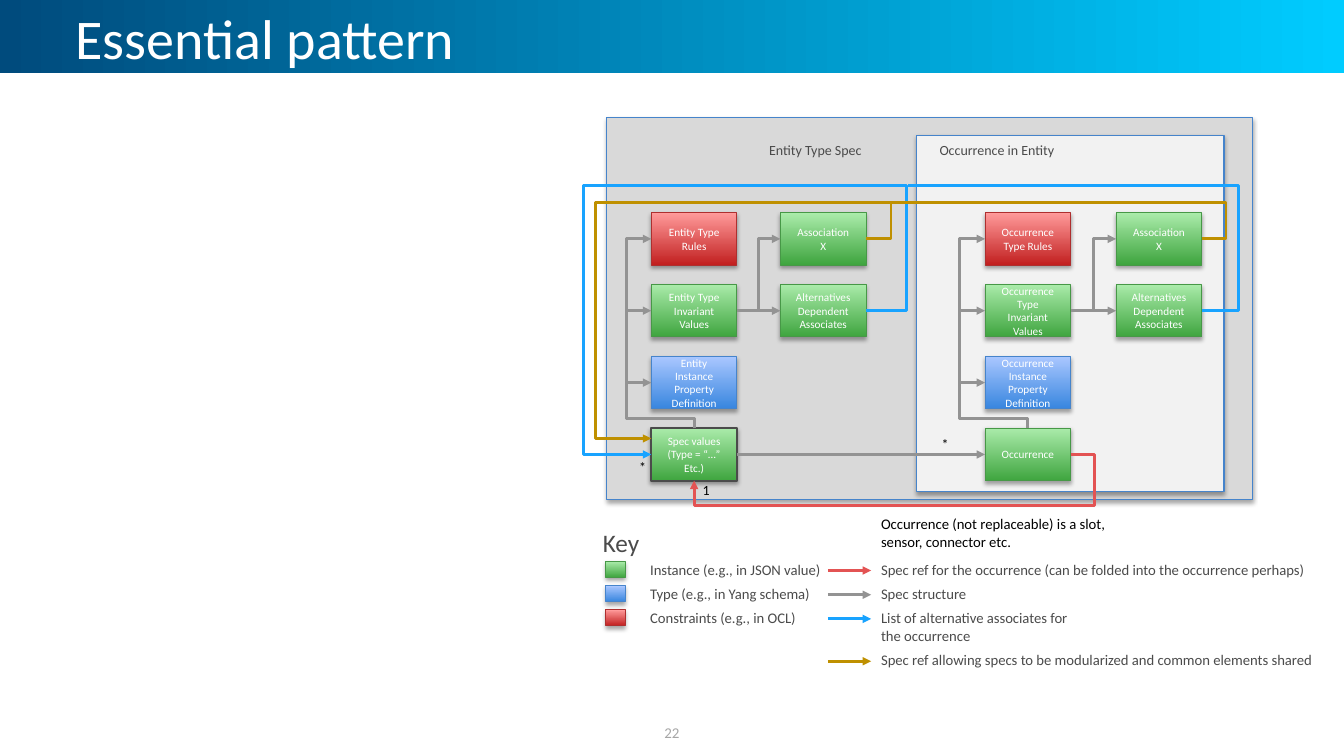
from lxml.etree import SubElement
from pptx import Presentation
from pptx.dml.color import RGBColor
from pptx.enum.shapes import MSO_CONNECTOR, MSO_SHAPE
from pptx.enum.text import MSO_ANCHOR, PP_ALIGN
from pptx.oxml.ns import qn
from pptx.util import Inches, Pt

WIDTH, HEIGHT = 13.33, 7.5
FONT = "Calibri"
COLORS = {
    "white": "FFFFFF", "black": "000000", "text": "4B4B4B", "number": "A6A6A6",
    "band_start": "004B7D", "band_end": "00CCFF",
    "entity": "D9D9D9", "occurrence": "F2F2F2", "panel_line": "4684CB",
    "reference": "E35353", "structure": "939393",
    "alternatives": "18A3FF", "modular": "BF9000",
}
# Bottom colour, top colour and outline of each kind of box
KINDS = {
    "instance": ("3FA53F", "AAEBAA", "479847"),
    "type": ("3886DF", "AAC7FF", "4684CB"),
    "constraint": ("C22020", "FF9B9B", "AE2F2F"),
}

# Grid of the diagram and of the key
COLUMNS = [6.46, 7.74, 9.77, 11.07]
BOX_W, BOX_H = 0.85, 0.52
KEY_COLUMNS = {"swatch": 6.01, "kind": 6.35, "arrow": 8.21, "meaning": 8.64}


def row_top(row):
    return 2.11 + 0.713 * row


def row_middle(row):
    return row_top(row) + BOX_H / 2


def column_right(column):
    return COLUMNS[column] + BOX_W


def key_top(row):
    return 5.51 + 0.24 * row


def rgb(value):
    return RGBColor.from_string(value)


def write(shape, text, size, color, align=PP_ALIGN.LEFT, anchor=MSO_ANCHOR.TOP, wrap=True):
    frame = shape.text_frame
    frame.text = text
    frame.word_wrap = wrap
    frame.vertical_anchor = anchor
    for para in frame.paragraphs:
        para.alignment = align
        for span in para.runs:
            span.font.name = FONT
            span.font.size = Pt(size)
            span.font.color.rgb = rgb(COLORS[color])


def add_label(page, text, left, top, width, height, size=10.5, color="text", **layout):
    label = page.shapes.add_textbox(*map(Inches, (left, top, width, height)))
    write(label, text, size, color, **layout)
    return label


def add_rectangle(page, left, top, width, height):
    box = page.shapes.add_shape(MSO_SHAPE.RECTANGLE, *map(Inches, (left, top, width, height)))
    box.shadow.inherit = False
    return box


def fill_gradient(box, first, last, angle):
    box.fill.gradient()
    box.fill.gradient_angle = angle
    for stop, value in zip(box.fill.gradient_stops, (first, last)):
        stop.color.rgb = rgb(value)


def outline(shape, value, width):
    shape.line.color.rgb = rgb(value)
    shape.line.width = Pt(width)


def add_soft_shadow(box):
    effects = box._element.spPr.find(qn("a:effectLst"))
    shadow = SubElement(effects, qn("a:outerShdw"), blurRad=str(Pt(3.1)), dist=str(Pt(1.8)),
                        dir="5400000", algn="t", rotWithShape="0")
    shade = SubElement(shadow, qn("a:srgbClr"), val=COLORS["black"])
    SubElement(shade, qn("a:alpha"), val="35000")


def add_panel(page, fill, *place):
    panel = add_rectangle(page, *place)
    panel.fill.solid()
    panel.fill.fore_color.rgb = rgb(COLORS[fill])
    outline(panel, COLORS["panel_line"], 0.75)
    add_soft_shadow(panel)


def add_kind(page, kind, *place):
    box = add_rectangle(page, *place)
    bottom, top, edge = KINDS[kind]
    fill_gradient(box, bottom, top, 90)
    outline(box, edge, 0.75)
    add_soft_shadow(box)
    return box


def add_node(page, kind, column, row, text, wrap=True):
    node = add_kind(page, kind, COLUMNS[column], row_top(row), BOX_W, BOX_H)
    write(node, text, 8, "white", PP_ALIGN.CENTER, MSO_ANCHOR.MIDDLE, wrap)
    return node


def add_line(page, style, start, end, color, arrow=True):
    line = page.shapes.add_connector(style, *map(Inches, (*start, *end)))
    outline(line, COLORS[color], 2)
    if arrow:
        SubElement(line.line._get_or_add_ln(), qn("a:tailEnd"), type="triangle")
    SubElement(line._element.spPr, qn("a:effectLst"))
    return line


def add_arrow(page, start, end, color):
    return add_line(page, MSO_CONNECTOR.STRAIGHT, start, end, color)


def join(page, source, target):
    arrow = add_arrow(page, (0, 0), (1, 1), "structure")
    arrow.begin_connect(source, 3)
    arrow.end_connect(target, 1)


def add_route(page, points, color, arrow=True):
    """Elbow connector through points; one that starts upwards is turned by 270 degrees."""
    start, end = points[0], points[-1]
    upwards = points[1][0] == start[0]
    if upwards:
        middle_x, middle_y = (start[0] + end[0]) / 2, (start[1] + end[1]) / 2
        half_w, half_h = (start[1] - end[1]) / 2, (start[0] - end[0]) / 2
        line = add_line(page, MSO_CONNECTOR.ELBOW, (middle_x - half_w, middle_y + half_h),
                        (middle_x + half_w, middle_y - half_h), color, arrow)
        line._element.spPr.find(qn("a:xfrm")).set("rot", str(270 * 60000))
    else:
        line = add_line(page, MSO_CONNECTOR.ELBOW, start, end, color, arrow)
    geometry = line._element.spPr.find(qn("a:prstGeom"))
    geometry.set("prst", f"bentConnector{len(points) - 1}")
    guides = geometry.find(qn("a:avLst"))
    for index, point in enumerate(points[1:-2]):
        axis = (index + upwards) % 2
        share = (point[axis] - start[axis]) / (end[axis] - start[axis])
        SubElement(guides, qn("a:gd"), name=f"adj{index + 1}", fmla=f"val {round(share * 100000)}")


def add_group(page, column, prefix, rules, values, types):
    """Boxes and grey structure lines of one half of the diagram."""
    add_node(page, "constraint", column, 0, rules)
    invariant = add_node(page, "instance", column, 1, values)
    add_node(page, "type", column, 2, types)
    add_node(page, "instance", column + 1, 0, "Association\nX")
    alternatives = add_node(page, "instance", column + 1, 1, "Alternatives\nDependent\nAssociates")
    root = add_node(page, "instance", column, 3, prefix, wrap=column > 0)

    left, right = COLUMNS[column], column_right(column)
    center, trunk, turn = left + BOX_W / 2, left - 0.25, row_top(3) - 0.1
    for row in range(3):
        middle = row_middle(row)
        add_route(page, [(center, row_top(3)), (center, turn), (trunk, turn),
                         (trunk, middle), (left, middle)], "structure")
    join(page, invariant, alternatives)
    fork = (right + COLUMNS[column + 1]) / 2
    add_route(page, [(right, row_middle(1)), (fork, row_middle(1)), (fork, row_middle(0)),
                     (COLUMNS[column + 1], row_middle(0))], "structure")
    return root


def add_references(page):
    left, bottom = COLUMNS[0], row_middle(3)
    center = left + BOX_W / 2
    top, middle = row_middle(0), row_middle(1)
    add_route(page, [(column_right(2), bottom), (10.86, bottom), (10.86, 5.02), (center, 5.02),
                     (center, row_top(3) + BOX_H)], "reference")
    # Lines that loop back to the spec values, then their extensions to the occurrence side
    for color, row_y, x, roof, outer, end_y, far, meet in (
            ("alternatives", middle, 8.99, 1.84, 5.79, bottom, 12.28, 9.01),
            ("modular", top, 8.84, 2.01, 5.91, 4.35, 12.16, 8.84)):
        add_route(page, [(column_right(1), row_y), (x, row_y), (x, roof), (outer, roof),
                         (outer, end_y), (left, end_y)], color)
        add_route(page, [(column_right(3), row_y), (far, row_y), (far, roof), (meet, roof)],
                  color, arrow=False)


def add_key(page):
    add_label(page, "Key", 5.88, 5.18, 0.78, 0.4, size=18)
    for row, (kind, text) in enumerate((("instance", "Instance (e.g., in JSON value)"),
                                        ("type", "Type (e.g., in Yang schema)"),
                                        ("constraint", "Constraints (e.g., in OCL)"))):
        add_kind(page, kind, KEY_COLUMNS["swatch"], key_top(row) + 0.06, 0.19, 0.16)
        add_label(page, text, KEY_COLUMNS["kind"], key_top(row), 2.24, 0.29)
    meaning = KEY_COLUMNS["meaning"]
    for row, color, width, text in (
            (0, "reference", 4.69,
             "Spec ref for the occurrence (can be folded into the occurrence perhaps)"),
            (1, "structure", 2.24, "Spec structure"),
            (2, "alternatives", 2.24, "List of alternative associates for the occurrence"),
            (3.75, "modular", 4.69,
             "Spec ref allowing specs to be modularized and common elements shared")):
        arrow_y = key_top(row) + 0.15
        add_arrow(page, (KEY_COLUMNS["arrow"], arrow_y), (meaning, arrow_y), color)
        add_label(page, text, meaning, key_top(row), width, 0.28)


def main():
    deck = Presentation()
    deck.slide_width, deck.slide_height = Inches(WIDTH), Inches(HEIGHT)
    page = deck.slides.add_slide(deck.slide_layouts[6])

    # Title band and page number
    band = add_rectangle(page, 0, 0, WIDTH, 0.73)
    fill_gradient(band, COLORS["band_start"], COLORS["band_end"], 0)
    band.line.fill.background()
    title = add_label(page, "Essential pattern", 0.65, 0.02, 11.92, 0.76, size=40, color="white")
    title.text_frame.paragraphs[0].line_spacing = Pt(45.3)
    add_label(page, "22", 5.11, 7.07, 3.11, 0.4, size=10.7, color="number",
              align=PP_ALIGN.CENTER, anchor=MSO_ANCHOR.MIDDLE)

    # Diagram
    add_panel(page, "entity", 6.02, 1.17, 6.4, 3.79)
    add_panel(page, "occurrence", 9.09, 1.34, 3.05, 3.54)
    spec = add_group(page, 0, "Spec values\n(Type = “…”\nEtc.)", "Entity Type Rules",
                     "Entity Type\nInvariant\nValues", "Entity Instance\nProperty\nDefinition")
    outline(spec, COLORS["text"], 1.5)
    occurrence = add_group(page, 2, "Occurrence", "Occurrence Type Rules",
                           "Occurrence Type\nInvariant\nValues",
                           "Occurrence Instance\nProperty\nDefinition")
    join(page, spec, occurrence)
    add_references(page)

    # Labels
    add_label(page, "Entity Type Spec", 7.53, 1.35, 1.14, 0.27, size=10, wrap=False)
    add_label(page, "Occurrence in Entity", 9.22, 1.35, 1.36, 0.27, size=10, wrap=False)
    for mark, left, top in (("1", 6.87, 4.73), ("*", 9.24, 4.27), ("*", 6.24, 4.5)):
        add_label(page, mark, left, top, 0.3, 0.27, size=10, color="black")
    add_label(page, "Occurrence (not replaceable) is a slot, sensor, connector etc.",
              8.64, 5.06, 2.43, 0.45, color="black")
    add_key(page)
    deck.save("out.pptx")


if __name__ == "__main__":
    main()
